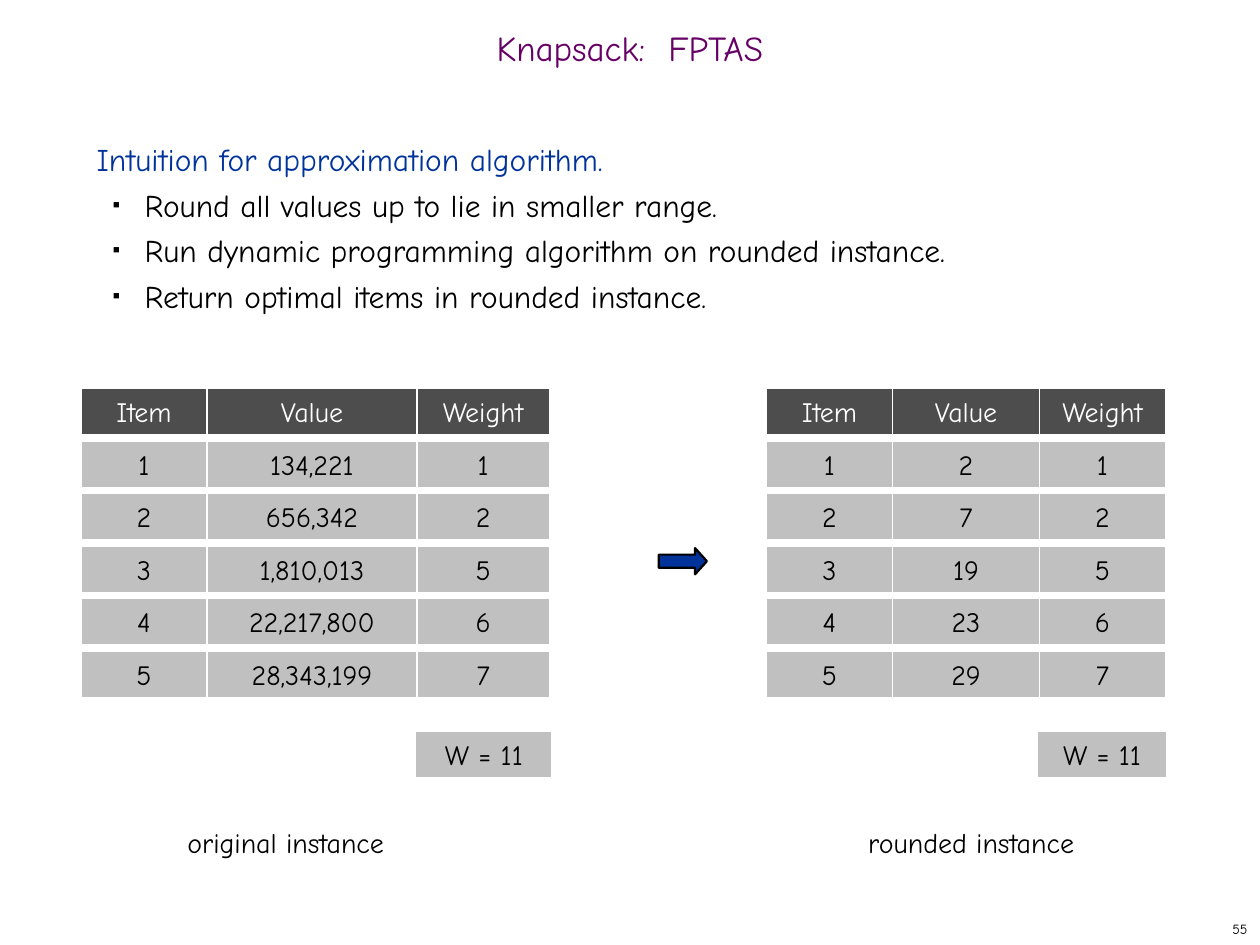
from lxml.etree import SubElement
from pptx import Presentation
from pptx.dml.color import RGBColor
from pptx.enum.shapes import MSO_SHAPE
from pptx.enum.text import MSO_ANCHOR, PP_ALIGN
from pptx.oxml.ns import qn
from pptx.util import Pt

FONT = "Comic Neue"
BLACK, WHITE = "000000", "FFFFFF"
PURPLE, BLUE = "660066", "003399"
DARK_GRAY, LIGHT_GRAY = "4D4D4D", "C0C0C0"
GRID_TOP, ROW_PITCH, CELL_HEIGHT = 222, 30, 26.6
CAPACITY_TOP = 418

HEADER = ("Item", "Value", "Weight")
WEIGHTS = ("1", "2", "5", "6", "7")
ORIGINAL_VALUES = ("134,221", "656,342", "1,810,013", "22,217,800", "28,343,199")
ROUNDED_VALUES = ("2", "7", "19", "23", "29")
STEPS = (
    "Round all values up to lie in smaller range.",
    "Run dynamic programming algorithm on rounded instance.",
    "Return optimal items in rounded instance.",
)


def rgb(hex_color):
    return RGBColor.from_string(hex_color)


def write(paragraph, text, size=16, color=BLACK, align=PP_ALIGN.CENTER, spacing=None):
    paragraph.alignment = align
    if spacing is not None:
        paragraph.line_spacing = spacing
    run = paragraph.add_run()
    run.text = text
    run.font.name = FONT
    run.font.size = Pt(size)
    run.font.color.rgb = rgb(color)


def add_bullet(paragraph):
    properties = paragraph._p.get_or_add_pPr()
    properties.set("marL", str(Pt(27.4)))
    properties.set("indent", str(Pt(-18)))
    bullet_color = SubElement(properties, qn("a:buClr"))
    SubElement(bullet_color, qn("a:srgbClr"), val=BLACK)
    SubElement(properties, qn("a:buSzPct"), val="35000")
    SubElement(properties, qn("a:buFont"), typeface="Arial")
    SubElement(properties, qn("a:buChar"), char="■")


def add_box(slide, left, top, width, height, anchor=MSO_ANCHOR.TOP):
    box = slide.shapes.add_textbox(Pt(left), Pt(top), Pt(width), Pt(height))
    box.text_frame.word_wrap = True
    box.text_frame.vertical_anchor = anchor
    return box.text_frame


def add_filled_shape(slide, kind, left, top, width, height, fill, line, line_width):
    shape = slide.shapes.add_shape(kind, Pt(left), Pt(top), Pt(width), Pt(height))
    shape.shadow.inherit = False
    shape.fill.solid()
    shape.fill.fore_color.rgb = rgb(fill)
    shape.line.color.rgb = rgb(line)
    shape.line.width = Pt(line_width)
    return shape


def add_cell(slide, left, top, width, text, fill=LIGHT_GRAY, color=BLACK):
    cell = add_filled_shape(slide, MSO_SHAPE.RECTANGLE, left, top, width, CELL_HEIGHT,
                            fill, WHITE, 0.75)
    cell.text_frame.vertical_anchor = MSO_ANCHOR.TOP
    write(cell.text_frame.paragraphs[0], text, color=color)


def add_instance(slide, left, column_widths, values):
    items = [str(number) for number in range(1, len(values) + 1)]
    rows = [HEADER, *zip(items, values, WEIGHTS)]
    for row_index, row in enumerate(rows):
        top = GRID_TOP + row_index * ROW_PITCH
        fill, color = (LIGHT_GRAY, BLACK) if row_index else (DARK_GRAY, WHITE)
        for column_index, text in enumerate(row):
            cell_left = left + sum(column_widths[:column_index])
            add_cell(slide, cell_left, top, column_widths[column_index], text, fill, color)


def add_caption(slide, left, text):
    caption = add_box(slide, left, 468, 174, CELL_HEIGHT)
    write(caption.paragraphs[0], text)


def main():
    presentation = Presentation()
    presentation.slide_width, presentation.slide_height = Pt(720), Pt(540)
    slide = presentation.slides.add_slide(presentation.slide_layouts[6])

    # Title
    title = add_box(slide, 0, 12, 720, 36, MSO_ANCHOR.MIDDLE)
    write(title.paragraphs[0], "Knapsack:  FPTAS", size=20, color=PURPLE, spacing=0.7)

    # Intuition and its steps
    intuition = add_box(slide, 48.2, 72.2, 618, 426)
    write(intuition.paragraphs[0], "Intuition for approximation algorithm.", size=18,
          color=BLUE, align=PP_ALIGN.LEFT, spacing=Pt(26))
    for step in STEPS:
        paragraph = intuition.add_paragraph()
        paragraph.level = 1
        add_bullet(paragraph)
        write(paragraph, step, size=18, align=PP_ALIGN.LEFT, spacing=Pt(26))

    # Original instance
    add_instance(slide, 46.3, (72, 120, 75.6), ORIGINAL_VALUES)
    add_cell(slide, 237.6, CAPACITY_TOP, 77.8, "W = 11")

    # Rounding arrow
    arrow = add_filled_shape(slide, MSO_SHAPE.RIGHT_ARROW, 376.5, 313.2, 27.5, 15,
                             BLUE, BLACK, 1.25)
    arrow.adjustments[1] = 0.45

    # Captions
    add_caption(slide, 76.3, "original instance")
    add_caption(slide, 468, "rounded instance")

    # Rounded instance
    add_instance(slide, 438, (72, 84, 72), ROUNDED_VALUES)
    add_cell(slide, 593, CAPACITY_TOP, 73.5, "W = 11")

    # Page number
    page_number = add_box(slide, 570, 522, 150, 18, MSO_ANCHOR.MIDDLE)
    write(page_number.paragraphs[0], "55", size=8, align=PP_ALIGN.RIGHT)

    presentation.save("out.pptx")


if __name__ == "__main__":
    main()
